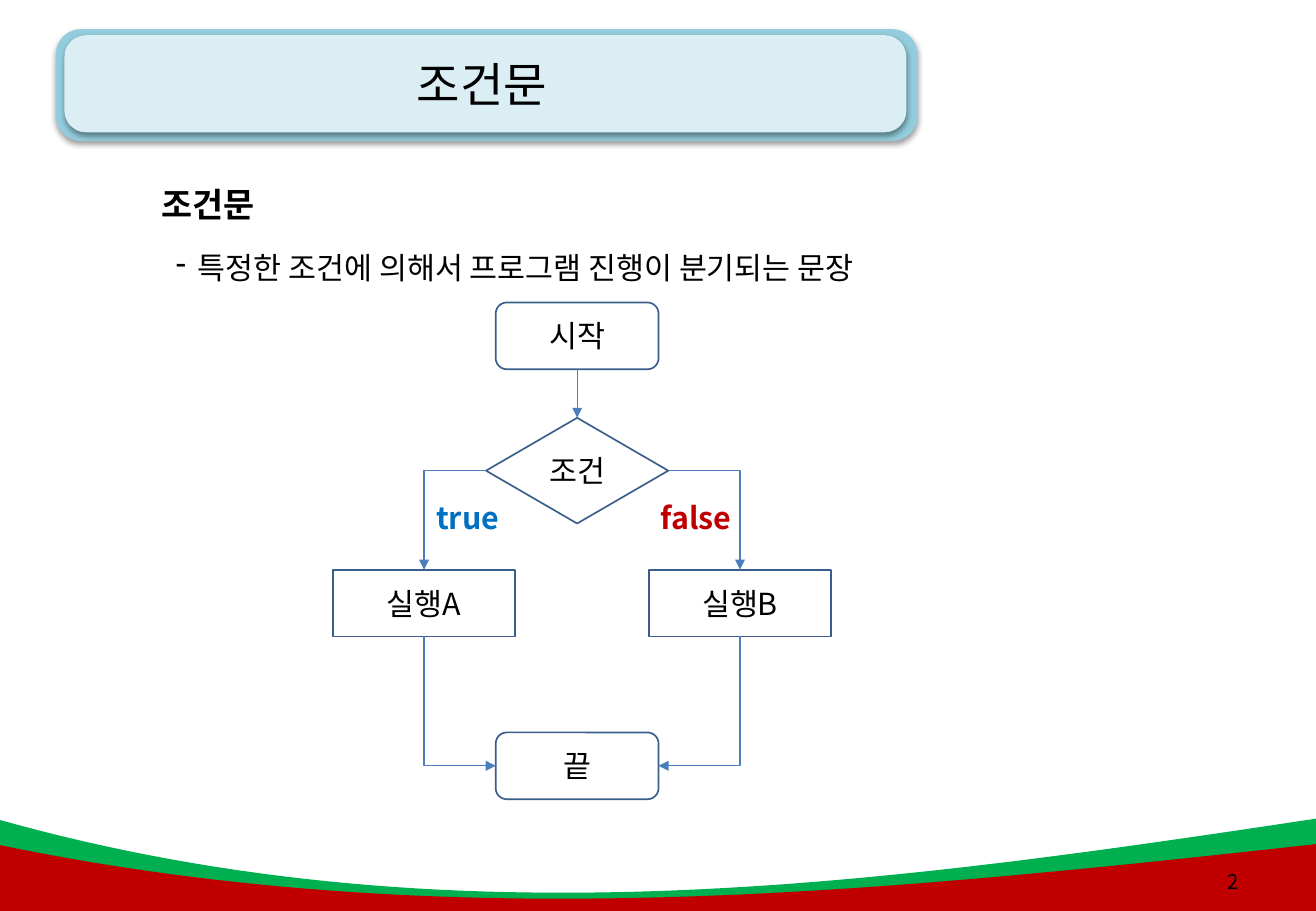
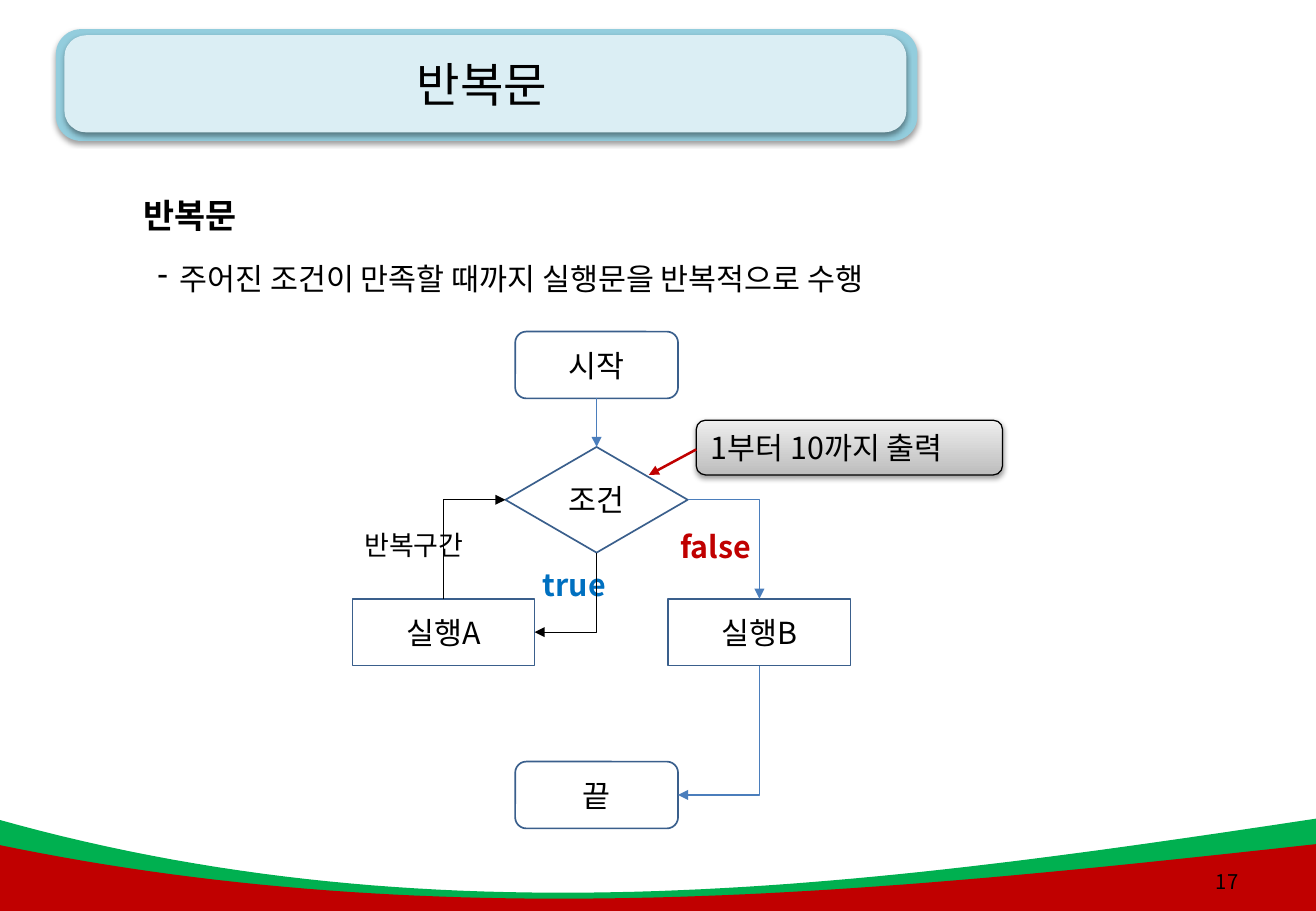
from lxml import etree
from pptx import Presentation
from pptx.dml.color import RGBColor
from pptx.enum.shapes import MSO_CONNECTOR, MSO_SHAPE
from pptx.enum.text import MSO_ANCHOR, PP_ALIGN
from pptx.oxml.ns import qn
from pptx.util import Inches, Pt

ROUNDED, RECTANGLE, DIAMOND = MSO_SHAPE.ROUNDED_RECTANGLE, MSO_SHAPE.RECTANGLE, MSO_SHAPE.DIAMOND
STRAIGHT, ELBOW = MSO_CONNECTOR.STRAIGHT, MSO_CONNECTOR.ELBOW
LEFT, CENTER, RIGHT = PP_ALIGN.LEFT, PP_ALIGN.CENTER, PP_ALIGN.RIGHT
TOP, MIDDLE = MSO_ANCHOR.TOP, MSO_ANCHOR.MIDDLE
# Connection sites shared by rectangles, rounded rectangles and diamonds
SITE_TOP, SITE_LEFT, SITE_BOTTOM, SITE_RIGHT = range(4)

FONT = "Noto Sans CJK KR"
COLOURS = {
    "text": "000000",
    "green": "00B050",
    "red": "C00000",
    "blue": "0070C0",
    "title_rim": "93CDDD",
    "title_fill": "DBEEF4",
    "outline": "3A5F8C",
    "arrow": "4B7EBC",
    "callout_dark": "BDBDBD",
    "callout_light": "EEEEEE",
}
CURVE_STEPS = 60
# Offsets from the top left corner of the flowchart
NODES = {
    "start": (ROUNDED, 1.34, 0, 1.34, 0.55, "시작"),
    "end": (ROUNDED, 1.34, 3.54, 1.34, 0.55, "끝"),
    "condition": (DIAMOND, 1.26, 0.95, 1.5, 0.87, "조건"),
    "action_a": (RECTANGLE, 0, 2.2, 1.5, 0.55, "실행A"),
    "action_b": (RECTANGLE, 2.6, 2.2, 1.5, 0.55, "실행B"),
}


def colour(name):
    return RGBColor.from_string(COLOURS[name])


def write(para, text, size, ink="text", bold=False, align=LEFT):
    para.text = text
    para.alignment = align
    font = para.font
    font.size, font.bold, font.name = Pt(size), bold, FONT
    font.color.rgb = colour(ink)
    defaults = para._p.get_or_add_pPr().find(qn("a:defRPr"))
    etree.SubElement(defaults, qn("a:ea"), typeface=FONT)


def add_text(page, left, top, width, height, text, size, anchor=TOP, **style):
    box = page.shapes.add_textbox(Inches(left), Inches(top), Inches(width), Inches(height))
    box.text_frame.word_wrap = True
    box.text_frame.vertical_anchor = anchor
    write(box.text_frame.paragraphs[0], text, size, **style)
    return box


def add_box(page, kind, left, top, width, height, fill=None, line=None, line_width=1):
    box = page.shapes.add_shape(kind, Inches(left), Inches(top), Inches(width), Inches(height))
    box.shadow.inherit = False
    if fill:
        box.fill.solid()
        box.fill.fore_color.rgb = colour(fill)
    else:
        box.fill.background()
    if line:
        box.line.color.rgb = colour(line)
        box.line.width = Pt(line_width)
    else:
        box.line.fill.background()
    return box


def cast_shadow(box):
    effects = box._element.spPr.find(qn("a:effectLst"))
    shadow = etree.SubElement(effects, qn("a:outerShdw"), blurRad="40000", dist="20000",
                              dir="5400000", rotWithShape="0")
    tint = etree.SubElement(shadow, qn("a:srgbClr"), val=COLOURS["text"])
    etree.SubElement(tint, qn("a:alpha"), val="38000")


def add_wave(page, fill, left_y, control_1_y, control_2_y, right_y, bottom):
    """Fill the area below a cubic curve that spans the page."""
    curve = list(zip((-0.04, 3.64, 7.19, 10.83), (left_y, control_1_y, control_2_y, right_y)))
    points = []
    for step in range(CURVE_STEPS + 1):
        t = step / CURVE_STEPS
        weights = ((1 - t) ** 3, 3 * t * (1 - t) ** 2, 3 * t ** 2 * (1 - t), t ** 3)
        points.append(tuple(Inches(sum(w * point[axis] for w, point in zip(weights, curve)))
                            for axis in (0, 1)))
    points += [(points[-1][0], Inches(bottom)), (points[0][0], Inches(bottom))]
    builder = page.shapes.build_freeform(*points[0])
    builder.add_line_segments(points[1:], close=True)
    wave = builder.convert_to_shape()
    wave.shadow.inherit = False
    wave.fill.solid()
    wave.fill.fore_color.rgb = colour(fill)
    wave.line.fill.background()


def add_arrow(page, kind, begin=(0, 0), end=(0, 0), ink="arrow", width=0.75, arrow_at="tailEnd"):
    arrow = page.shapes.add_connector(kind, *map(Inches, begin + end))
    arrow.line.color.rgb = colour(ink)
    arrow.line.width = Pt(width)
    properties = arrow._element.spPr
    etree.SubElement(properties.find(qn("a:ln")), qn("a:" + arrow_at), type="triangle")
    etree.SubElement(properties, qn("a:effectLst"))
    return arrow


def link(page, begin, end, kind=ELBOW, **style):
    """Join two (shape, site) pairs; an elbow leaves the first one sideways."""
    arrow = add_arrow(page, kind, **style)
    arrow.begin_connect(*begin)
    arrow.end_connect(*end)
    if kind == ELBOW:
        arrow._element.spPr.find(qn("a:prstGeom")).set("prst", "bentConnector2")


def add_page(deck, title, number):
    page = deck.slides.add_slide(deck.slide_layouts[6])
    add_wave(page, "green", 6.74, 7.78, 7.29, 6.74, 7.5)
    for fill, *place in (("title_rim", 0.46, 0.24, 7.09, 0.92),
                         ("title_fill", 0.53, 0.29, 6.93, 0.8)):
        plate = add_box(page, ROUNDED, *place, fill=fill)
        plate.adjustments[0] = 0.225
        cast_shadow(plate)
    add_wave(page, "red", 6.95, 7.72, 7.35, 6.95, 7.51)
    add_text(page, 0.46, 0.22, 7.01, 0.94, title, 28, anchor=MIDDLE, align=CENTER)
    add_text(page, 9.68, 7.06, 0.61, 0.4, str(number), 12, anchor=MIDDLE, align=RIGHT)
    return page


def add_definition(page, left, top, term, meaning):
    box = add_text(page, left, top, 8.27, 1.11, term, 20, bold=True)
    heading = box.text_frame.paragraphs[0]
    detail = box.text_frame.add_paragraph()
    write(detail, meaning, 18)
    detail.space_before = Pt(4)
    for para, margin, indent in ((heading, 0.07, 0), (detail, 0.37, -0.18)):
        para.line_spacing = 1.5
        properties = para._p.get_or_add_pPr()
        properties.set("marL", str(Inches(margin)))
        properties.set("indent", str(Inches(indent)))
    bullet = etree.Element(qn("a:buChar"), char="-")
    detail._p.pPr.find(qn("a:defRPr")).addprevious(bullet)


def add_flowchart(page, left, top, true_left, true_top):
    """Draw the nodes, the labels and the false branch; return the nodes by name."""
    nodes = {}
    for name, (kind, x, y, width, height, text) in NODES.items():
        node = add_box(page, kind, left + x, top + y, width, height, line="outline")
        write(node.text_frame.paragraphs[0], text, 18, align=CENTER)
        nodes[name] = node
    condition, action_b = nodes["condition"], nodes["action_b"]
    link(page, (nodes["start"], SITE_BOTTOM), (condition, SITE_TOP), kind=STRAIGHT)
    link(page, (condition, SITE_RIGHT), (action_b, SITE_TOP))
    link(page, (nodes["end"], SITE_RIGHT), (action_b, SITE_BOTTOM), arrow_at="headEnd")
    add_text(page, true_left, true_top, 0.75, 0.4, "true", 18, ink="blue", bold=True)
    add_text(page, left + 2.6, top + 1.57, 0.87, 0.4, "false", 18, ink="red", bold=True)
    return nodes


def add_callout(page, text):
    callout = add_box(page, ROUNDED, 5.73, 3.46, 2.52, 0.45, line="text", line_width=0.75)
    callout.fill.gradient()
    callout.fill.gradient_angle = 90
    for stop, name in zip(callout.fill.gradient_stops, ("callout_dark", "callout_light")):
        stop.color.rgb = colour(name)
    cast_shadow(callout)
    write(callout.text_frame.paragraphs[0], text, 18)
    add_arrow(page, STRAIGHT, (5.73, 3.7), (5.34, 3.91), ink="red", width=1.5)


def build_condition_page(deck):
    page = add_page(deck, "조건문", 2)
    add_definition(page, 1.16, 1.3, "조건문", "특정한 조건에 의해서 프로그램 진행이 분기되는 문장")
    nodes = add_flowchart(page, 2.74, 2.49, 3.49, 4.06)
    action_a = nodes["action_a"]
    link(page, (nodes["condition"], SITE_LEFT), (action_a, SITE_TOP))
    link(page, (nodes["end"], SITE_LEFT), (action_a, SITE_BOTTOM), arrow_at="headEnd")


def build_loop_page(deck):
    page = add_page(deck, "반복문", 17)
    add_definition(page, 1.01, 1.39, "반복문", "주어진 조건이 만족할 때까지 실행문을 반복적으로 수행")
    nodes = add_flowchart(page, 2.9, 2.73, 4.37, 4.61)
    condition, action_a = nodes["condition"], nodes["action_a"]
    link(page, (condition, SITE_LEFT), (action_a, SITE_TOP), ink="text", arrow_at="headEnd")
    link(page, (action_a, SITE_RIGHT), (condition, SITE_BOTTOM), ink="text", arrow_at="headEnd")
    add_text(page, 2.9, 4.3, 1.22, 0.37, "반복구간", 16)
    add_callout(page, "1부터 10까지 출력")


def main():
    deck = Presentation()
    deck.slide_width, deck.slide_height = Inches(10.83), Inches(7.5)
    build_condition_page(deck)
    build_loop_page(deck)
    deck.save("out.pptx")


if __name__ == "__main__":
    main()
